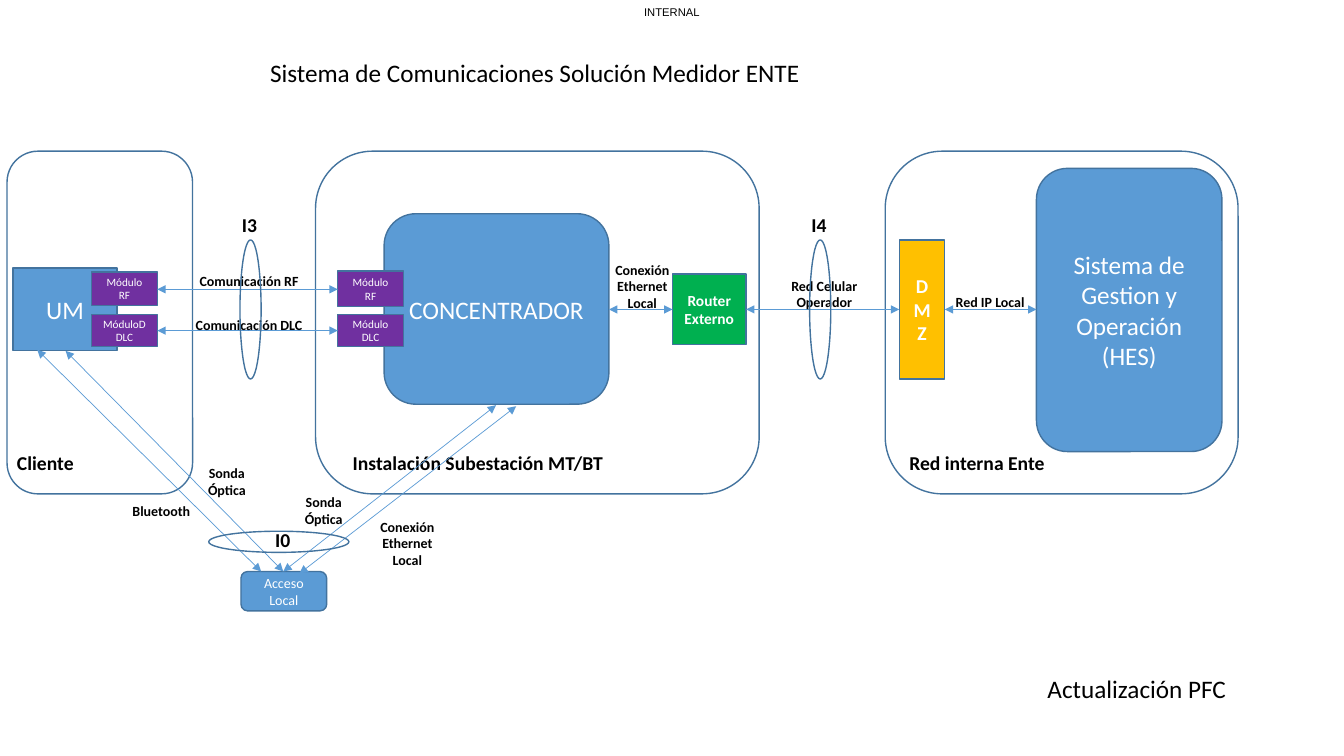
from dataclasses import dataclass

from lxml import etree
from pptx import Presentation
from pptx.dml.color import RGBColor
from pptx.enum import shapes, text
from pptx.oxml import ns
from pptx import util as u

EMU_PER_PX = 9144  # 100 px to the inch


@dataclass(frozen=True)
class Theme:
    blue: str = "5B9BD5"
    outline: str = "43739E"
    purple: str = "7030A0"
    green: str = "00B050"
    amber: str = "FFC000"
    white: str = "FFFFFF"
    black: str = "000000"
    font: str = "Calibri"
    tag_font: str = "Arial"
    title: int = 18
    heading: int = 14
    router: int = 11
    label: int = 10
    small: int = 8


THEME = Theme()
RECT = shapes.MSO_SHAPE.RECTANGLE
ROUND = shapes.MSO_SHAPE.ROUNDED_RECTANGLE
OVAL = shapes.MSO_SHAPE.OVAL
LEFT, CENTER = text.PP_ALIGN.LEFT, text.PP_ALIGN.CENTER


def px(*lengths):
    return [u.Emu(length * EMU_PER_PX) for length in lengths]


def write(frame, words, size, color, bold=False, align=CENTER, font=THEME.font):
    """Fill a text frame, one paragraph per line of words."""
    frame.text = words
    for para in frame.paragraphs:
        para.alignment = align
        para.font.name = font
        para.font.size = u.Pt(size)
        para.font.bold = bold
        para.font.color.rgb = RGBColor.from_string(color)


def add_outline(page, kind, area):
    shape = page.shapes.add_shape(kind, *px(*area))
    shape.shadow.inherit = False
    shape.fill.background()
    shape.line.color.rgb = RGBColor.from_string(THEME.outline)
    shape.line.width = u.Pt(1)
    return shape


def add_block(page, kind, area, words, fill=THEME.blue, size=THEME.title, bold=False):
    shape = add_outline(page, kind, area)
    shape.fill.solid()
    shape.fill.fore_color.rgb = RGBColor.from_string(fill)
    shape.text_frame.word_wrap = True
    shape.text_frame.vertical_anchor = text.MSO_ANCHOR.MIDDLE
    write(shape.text_frame, words, size, THEME.white, bold)


def add_label(page, area, words, size=THEME.label, bold=True, align=CENTER,
              wrap=True, font=THEME.font):
    box = page.shapes.add_textbox(*px(*area))
    frame = box.text_frame
    frame.word_wrap = wrap
    frame.auto_size = text.MSO_AUTO_SIZE.SHAPE_TO_FIT_TEXT
    write(frame, words, size, THEME.black, bold, align, font)
    return frame


def add_link(page, start, end):
    """Draw a thin line with an arrowhead at both ends."""
    link = page.shapes.add_connector(shapes.MSO_CONNECTOR.STRAIGHT, *px(*start, *end))
    link.line.color.rgb = RGBColor.from_string(THEME.blue)
    link.line.width = u.Pt(0.5)
    line = link.line._get_or_add_ln()
    for tag in ("a:headEnd", "a:tailEnd"):
        etree.SubElement(line, ns.qn(tag), type="triangle")
    etree.SubElement(link._element.spPr, ns.qn("a:effectLst"))


def add_equipment(page):
    add_block(page, RECT, (13, 266, 103, 82), "UM")
    add_block(page, ROUND, (381, 212, 223, 189), "CONCENTRADOR")
    add_block(page, ROUND, (1028, 167, 184, 281),
              "Sistema de Gestion y Operación\n(HES)")
    add_block(page, RECT, (892, 238, 45, 138), "DMZ", THEME.amber, THEME.heading, True)
    add_block(page, RECT, (667, 272, 73, 70), "Router Externo",
              THEME.green, THEME.router, True)
    for left, top, height, words in (
        (335, 269, 35, "Módulo RF"),
        (91, 270, 33, "Módulo RF"),
        (91, 312, 32, "MóduloDDLC"),
        (335, 312, 32, "Módulo DLC"),
    ):
        add_block(page, RECT, (left, top, 65, height), words, THEME.purple, THEME.small)
    add_block(page, ROUND, (239, 567, 85, 39), "Acceso Local", size=THEME.label)


def add_zones(page):
    for left, width, label_left, label_width, words in (
        (7, 184, 7, 203, "Cliente"),
        (313, 440, 340, 292, "Instalación Subestación MT/BT"),
        (878, 350, 892, 203, "Red interna Ente"),
    ):
        add_outline(page, ROUND, (left, 150, width, 340))
        add_label(page, (label_left, 442, label_width, 34), words,
                  THEME.heading, align=LEFT)


def add_links(page):
    for left, right, y in (
        (937, 1028, 307), (740, 892, 307), (604, 667, 307),
        (156, 335, 287), (156, 335, 328),
    ):
        add_link(page, (left, y), (right, y))
    for start, end in (
        ((37, 347), (259, 567)), ((65, 348), (281, 567)),
        ((492, 402), (281, 567)), ((512, 403), (297, 569)),
    ):
        add_link(page, start, end)


def add_link_labels(page):
    add_label(page, (937, 286, 90, 27), "Red IP Local", wrap=False)
    add_label(page, (773, 270, 89, 44), "Red Celular\nOperador", wrap=False)
    for top, words in ((265, "Comunicación RF"), (309, "Comunicación DLC")):
        add_label(page, (159, top, 176, 27), words)
    for left, top, height, words in (
        (593, 254, 61, "Conexión Ethernet\nLocal"),
        (360, 509, 61, "Conexión Ethernet Local"),
        (277, 485, 44, "Sonda Óptica"),
        (181, 456, 44, "Sonda Óptica"),
        (116, 494, 27, "Bluetooth"),
    ):
        add_label(page, (left, top, 88, height), words)


def add_interfaces(page):
    for ring, left, top, words in (
        ((238, 238, 21, 138), 230, 206, "I3"),
        ((803, 238, 21, 138), 795, 206, "I4"),
        ((207, 527, 139, 21), 263, 519, "I0"),
    ):
        add_outline(page, OVAL, ring)
        add_label(page, (left, top, 35, 34), words, THEME.heading,
                  align=LEFT, wrap=False)


def add_titles(page):
    tag = add_label(page, (626, 0, 81, 24), "INTERNAL", THEME.small, bold=False,
                    font=THEME.tag_font)
    tag.margin_left = tag.margin_right = tag.margin_top = tag.margin_bottom = 0
    tag.vertical_anchor = text.MSO_ANCHOR.MIDDLE
    for area, words in (
        ((258, 52, 550, 40), "Sistema de Comunicaciones Solución Medidor ENTE"),
        ((1029, 663, 199, 40), "Actualización PFC"),
    ):
        add_label(page, area, words, THEME.title, bold=False, align=LEFT, wrap=False)


def main():
    deck = Presentation()
    deck.slide_width, deck.slide_height = px(1333, 750)
    page = deck.slides.add_slide(deck.slide_layouts[6])
    add_equipment(page)
    add_zones(page)
    add_links(page)
    add_link_labels(page)
    add_interfaces(page)
    add_titles(page)
    deck.save("out.pptx")


if __name__ == "__main__":
    main()
